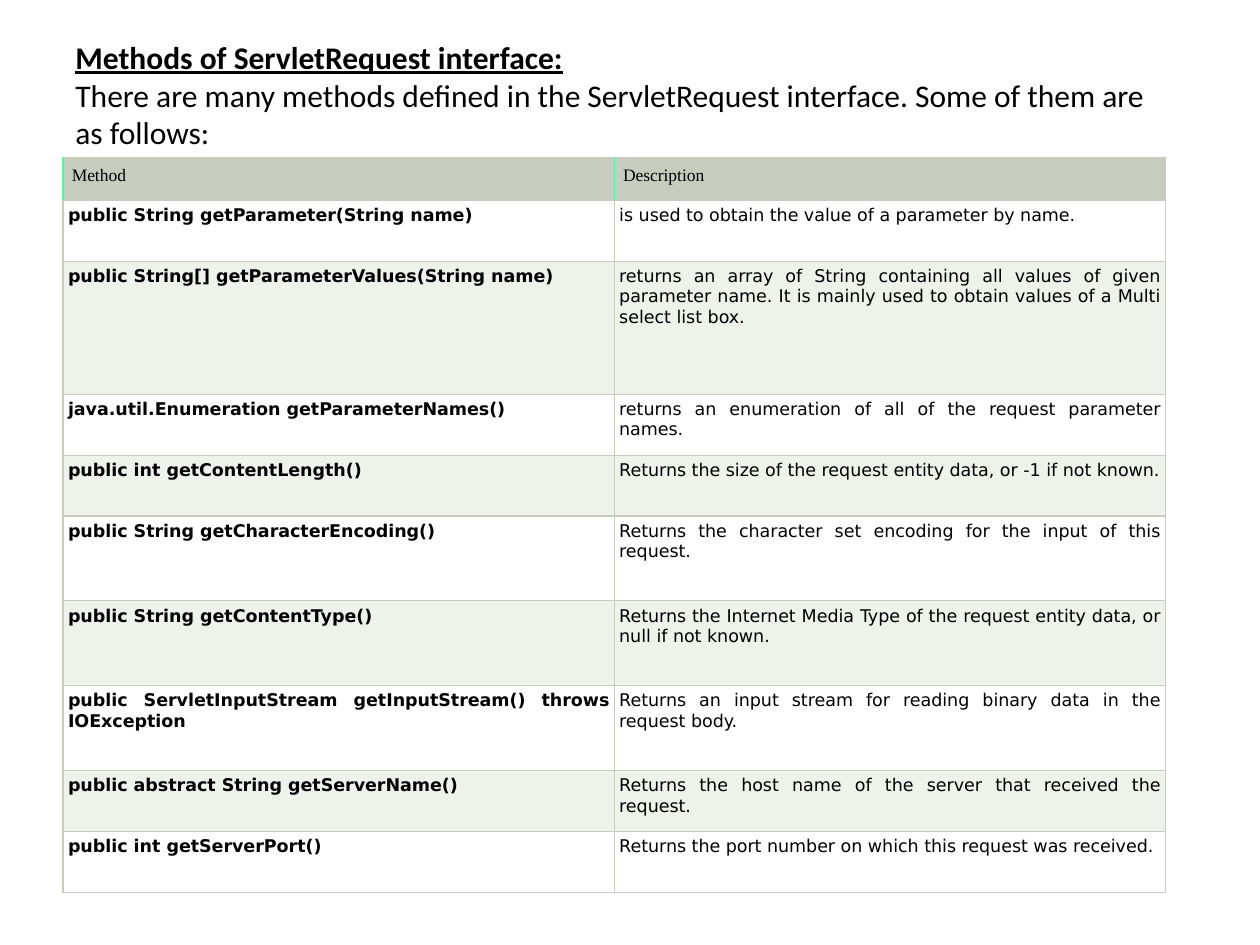
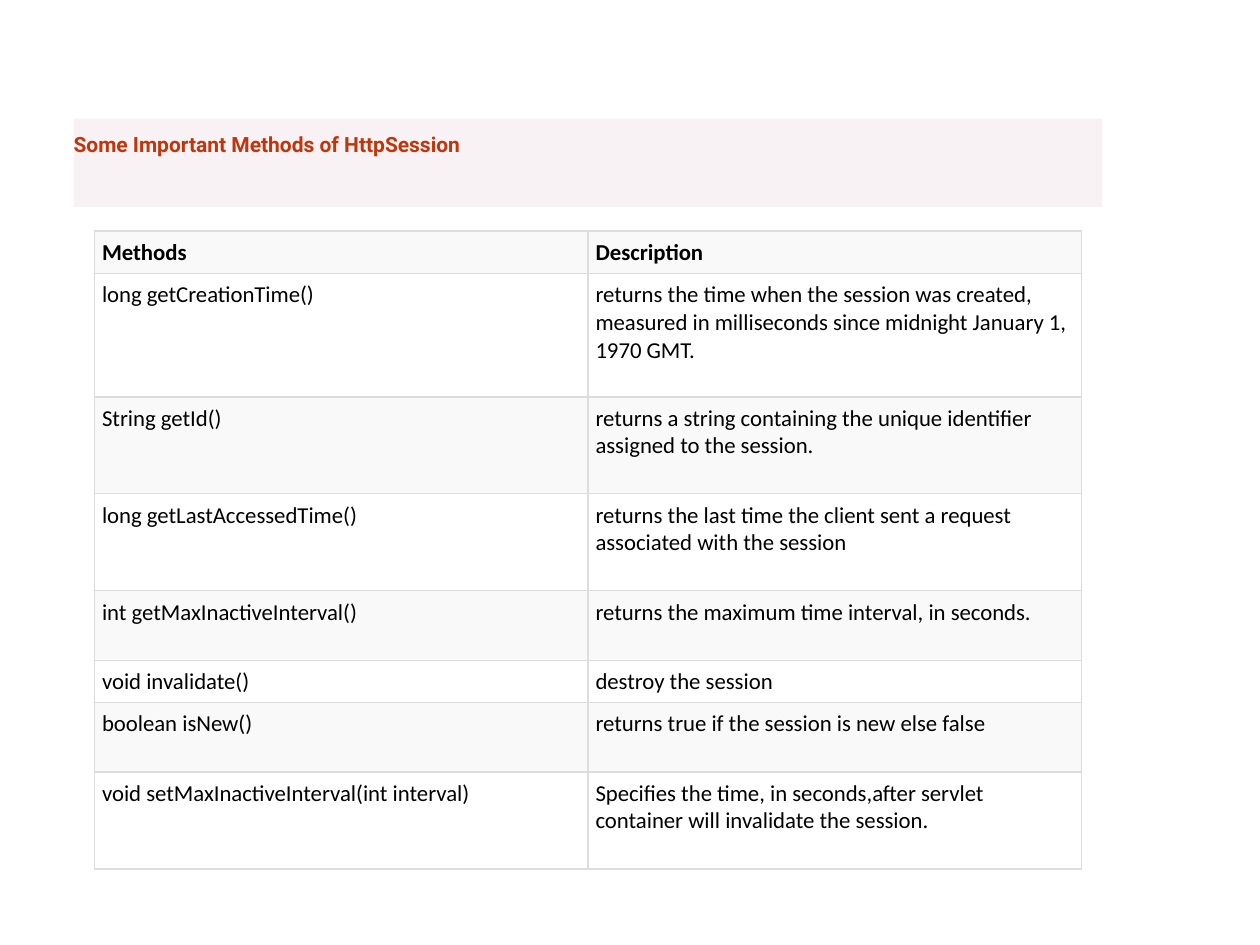
from pptx import Presentation
from pptx.dml.color import RGBColor
from pptx.enum.shapes import MSO_SHAPE as Shape
from pptx.enum.text import MSO_ANCHOR as Anchor, PP_ALIGN as Align
from pptx.oxml.ns import qn
from pptx.util import Inches, Pt
from lxml.etree import SubElement

COLS, ROWS = 120, 90
BLACK, WHITE = "000000", "FFFFFF"

REQUEST = [
    (0.34, "Method", "Description"),
    (0.48, "public String getParameter(String name)",
     "is used to obtain the value of a parameter by name."),
    (1.05, "public String[] getParameterValues(String name)",
     "returns an array of String containing all values of given parameter name. "
     "It is mainly used to obtain values of a Multi select list box."),
    (0.48, "java.util.Enumeration getParameterNames()",
     "returns an enumeration of all of the request parameter names."),
    (0.48, "public int getContentLength()",
     "Returns the size of the request entity data, or -1 if not known."),
    (0.67, "public String getCharacterEncoding()",
     "Returns the character set encoding for the input of this request."),
    (0.67, "public String getContentType()",
     "Returns the Internet Media Type of the request entity data, or null if not known."),
    (0.67, "public ServletInputStream getInputStream() throws IOException",
     "Returns an input stream for reading binary data in the request body."),
    (0.48, "public abstract String getServerName()",
     "Returns the host name of the server that received the request."),
    (0.48, "public int getServerPort()",
     "Returns the port number on which this request was received."),
]
SESSION = [
    (0.33, "Methods", "Description"),
    (0.98, "long getCreationTime()",
     "returns the time when the session was created, measured in milliseconds "
     "since midnight January 1, 1970 GMT."),
    (0.77, "String getId()",
     "returns a string containing the unique identifier assigned to the session."),
    (0.77, "long getLastAccessedTime()",
     "returns the last time the client sent a request associated with the session"),
    (0.55, "int getMaxInactiveInterval()",
     "returns the maximum time interval, in seconds."),
    (0.33, "void invalidate()", "destroy the session"),
    (0.55, "boolean isNew()", "returns true if the session is new else false"),
    (0.77, "void setMaxInactiveInterval(int interval)",
     "Specifies the time, in seconds,after servlet container will invalidate the session."),
]
INTRO = [
    ("Methods of ServletRequest interface:", True),
    ("There are many methods defined in the ServletRequest interface. "
     "Some of them are as follows:", False),
]
HEADING = "Some Important Methods of HttpSession"

REQ_LOOK = {
    "size": 10, "line": "C7CCBE", "edge": "50F8A0", "fills": ("C7CCBE", WHITE, "EFF1EB"),
    "head": {"name": "Times New Roman", "pad": 0.07, "align": Align.LEFT, "bold": (False, False)},
    "body": {"name": "DejaVu Sans", "pad": 0.04, "align": Align.JUSTIFY, "bold": (True, False)},
}
SES_LOOK = {
    "size": 13, "line": "DDDDDD", "edge": "DDDDDD", "fills": ("F9F9F9", WHITE, "F9F9F9"),
    "head": {"name": "Calibri", "pad": 0.06, "align": Align.LEFT, "bold": (True, True)},
    "body": {"name": "Calibri", "pad": 0.06, "align": Align.LEFT, "bold": (False, False)},
}

deck = Presentation()
deck.slide_width, deck.slide_height = Inches(10), Inches(7.5)


def color(code):
    return RGBColor.from_string(code)


def place(left, top, wide, high):
    across, down = deck.slide_width / COLS, deck.slide_height / ROWS
    return [round(n) for n in (left * across, top * down, wide * across, high * down)]


def style(para, name, size, ink=BLACK, bold=False, under=False):
    font = para.font
    font.name, font.size, font.bold, font.underline = name, Pt(size), bold, under
    font.color.rgb = color(ink)


def border(cell, side, code):
    line = SubElement(cell._tc.get_or_add_tcPr(), qn(f"a:ln{side}"), w=str(Pt(0.75)))
    SubElement(SubElement(line, qn("a:solidFill")), qn("a:srgbClr"), val=code)


def fill_cell(cell, text, row, col, look):
    kind = look["body" if row else "head"]
    pad = Inches(kind["pad"])
    cell.margin_left = cell.margin_right = cell.margin_top = cell.margin_bottom = pad
    for side in "LRTB":
        accent = row == 0 and (side == "L" or (side == "R" and col == 0))
        border(cell, side, look["edge" if accent else "line"])
    cell.fill.solid()
    cell.fill.fore_color.rgb = color(look["fills"][2 - row % 2 if row else 0])
    cell.text = text
    para = cell.text_frame.paragraphs[0]
    para.alignment = kind["align"]
    style(para, kind["name"], look["size"], bold=kind["bold"][col])


def add_grid(slide, data, look, spot):
    box = place(*spot)
    grid = slide.shapes.add_table(len(data), 2, *box).table
    grid.first_row = grid.horz_banding = False
    total = sum(row[0] for row in data)
    for num, (share, *texts) in enumerate(data):
        grid.rows[num].height = round(box[3] * share / total)
        for col, text in enumerate(texts):
            fill_cell(grid.cell(num, col), text, num, col, look)


def add_slide():
    return deck.slides.add_slide(deck.slide_layouts[6])


def add_intro(slide):
    frame = slide.shapes.add_textbox(*place(6, 3, 105, 12.1)).text_frame
    frame.word_wrap = True
    for num, (text, strong) in enumerate(INTRO):
        para = frame.add_paragraph() if num else frame.paragraphs[0]
        para.text = text
        style(para, "Calibri", 18, bold=strong, under=strong)


def add_band(slide):
    band = slide.shapes.add_shape(Shape.RECTANGLE, *place(7, 11.3, 98, 8.4))
    band.shadow.inherit = False
    band.fill.solid()
    band.fill.fore_color.rgb = color("F9F2F4")
    band.line.fill.background()
    frame = band.text_frame
    frame.word_wrap = True
    frame.vertical_anchor = Anchor.TOP
    frame.margin_left = frame.margin_right = 0
    frame.margin_top = frame.margin_bottom = Inches(0.1)
    para = frame.paragraphs[0]
    para.text, para.alignment = HEADING, Align.LEFT
    style(para, "Roboto", 12, "BF360C", bold=True)


def main():
    first = add_slide()
    add_grid(first, REQUEST, REQ_LOOK, (6, 15, 105, 70))
    add_intro(first)
    second = add_slide()
    add_grid(second, SESSION, SES_LOOK, (9, 22, 94, 60.6))
    add_band(second)
    deck.save("out.pptx")


if __name__ == "__main__":
    main()
